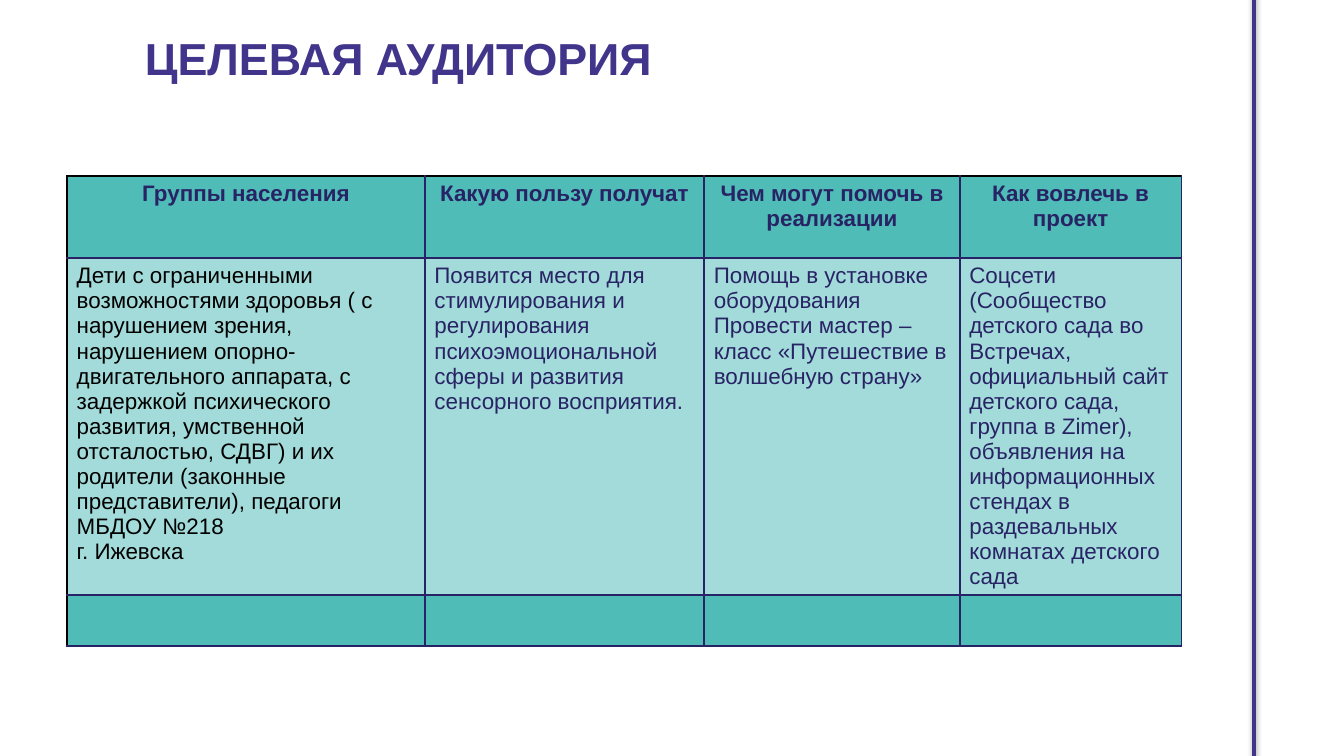
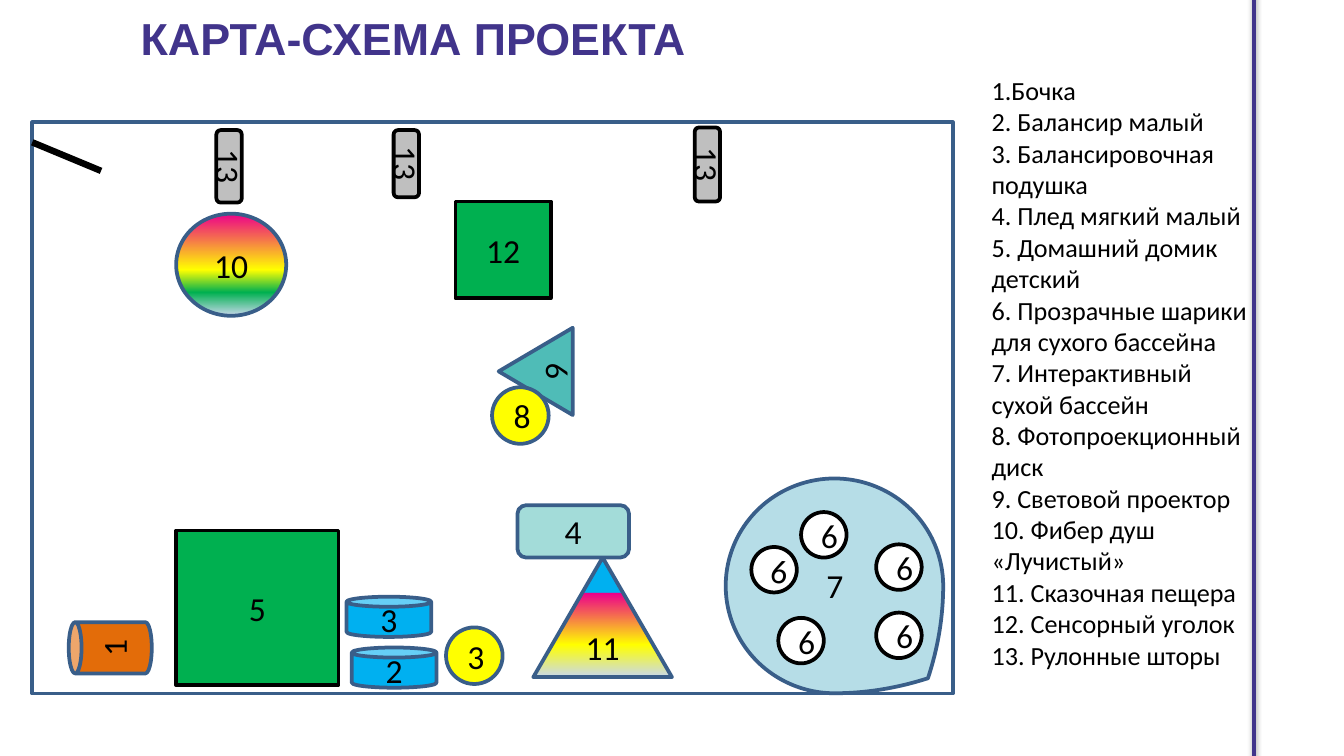
from dataclasses import dataclass
from typing import Optional, Union

from lxml.etree import SubElement
from pptx import Presentation
from pptx.dml.color import RGBColor
from pptx.enum.shapes import MSO_CONNECTOR, MSO_SHAPE
from pptx.enum.text import MSO_ANCHOR, PP_ALIGN
from pptx.oxml.ns import qn
from pptx.slide import Slide
from pptx.util import Cm, Pt

Stops = tuple[tuple[int, str], ...]


@dataclass(frozen=True)
class Theme:
    purple: str = "41348B"
    navy: str = "282365"
    outline: str = "395E89"
    black: str = "000000"
    white: str = "FFFFFF"
    teal: str = "4FBCB7"
    pale_teal: str = "A2DBD9"
    blanket: str = "A3DCD9"
    water: str = "B6DDE7"
    green: str = "00B050"
    yellow: str = "FFFF00"
    blue: str = "00B0F0"
    orange: str = "E36C09"
    grey: str = "BFBFBF"
    pink: str = "EC008B"
    haze: str = "C8D8EB"
    heading_font: str = "Arial"
    map_font: str = "Calibri"
    title_size: int = 24
    map_size: int = 18
    legend_size: int = 14
    table_size: int = 12
    line_width: float = 2
    door_width: float = 3.5


THEME = Theme()
TITLE_FORMAT = {"name": THEME.heading_font, "size": Pt(THEME.title_size), "bold": True}
HEADER_FORMAT = {"name": THEME.heading_font, "size": Pt(THEME.table_size), "bold": True}
BODY_FORMAT = {**HEADER_FORMAT, "bold": False}
MAP_FORMAT = {"name": THEME.map_font, "size": Pt(THEME.map_size)}
LEGEND_FORMAT = {"name": THEME.map_font, "size": Pt(THEME.legend_size)}


@dataclass(frozen=True)
class MapItem:
    """A thing on the room plan, in centimetres; without a preset it is a bare label."""
    preset: Optional[MSO_SHAPE]
    left: float
    top: float
    width: float
    height: float
    label: str = ""
    fill: Union[str, Stops, None] = None
    line: str = THEME.outline
    rotation: float = 0
    adjustment: Optional[float] = None


FIBER_STOPS = ((0, THEME.pink), (55, THEME.yellow), (77, THEME.green), (100, THEME.haze))
CAVE_STOPS = ((0, THEME.blue), (29, THEME.blue), (30, THEME.pink),
              (73, THEME.yellow), (100, THEME.haze))


def blind(left: float, top: float, height: float) -> list[MapItem]:
    """A roller blind with its sideways number centred on it."""
    width, label_width, label_height = 0.48, height - 0.05, 0.43
    return [
        MapItem(MSO_SHAPE.ROUNDED_RECTANGLE, left, top, width, height,
                fill=THEME.grey, line=THEME.black),
        MapItem(None, left + (width - label_width) / 2, top + (height - label_height) / 2,
                label_width, label_height, "13", rotation=90),
    ]


def disc(left: float, top: float, label: str) -> MapItem:
    return MapItem(MSO_SHAPE.OVAL, left, top, 1.07, 1.07, label, THEME.yellow)


def drum(left: float, top: float, label: str) -> MapItem:
    return MapItem(MSO_SHAPE.CAN, left, top, 1.6, 0.76, label, THEME.blue)


def ball(left: float, top: float, rotation: float = 0) -> MapItem:
    return MapItem(MSO_SHAPE.OVAL, left, top, 0.86, 0.86, "6",
                   THEME.white, THEME.black, rotation)


UPPER_ITEMS = [
    MapItem(MSO_SHAPE.RECTANGLE, 0.61, 2.31, 17.4, 10.8),
    MapItem(MSO_SHAPE.TEAR, 13.74, 9.02, 4.06, 4.11, fill=THEME.water,
            rotation=90, adjustment=0.86),
    MapItem(None, 14.33, 9.63, 2.9, 2.87, "7"),
    MapItem(MSO_SHAPE.OVAL, 3.33, 4.04, 2.08, 1.93, "10", FIBER_STOPS),
    MapItem(MSO_SHAPE.RECTANGLE, 8.61, 3.81, 1.8, 1.83, "12", THEME.green, THEME.black),
    MapItem(MSO_SHAPE.ISOSCELES_TRIANGLE, 9.3, 6.32, 1.65, 1.4, "9", THEME.teal, rotation=270),
    disc(9.3, 7.32, "8"),
    *blind(4.09, 2.46, 1.37),
    *blind(7.44, 2.46, 1.27),
    *blind(13.13, 2.41, 1.4),
    drum(6.55, 11.28, "3"),
    ball(15.14, 9.68),
    ball(16.56, 10.29),
    ball(14.2, 10.34, 7.7),
    ball(16.56, 11.58),
    ball(14.71, 11.68),
]
LOWER_ITEMS = [
    MapItem(MSO_SHAPE.RECTANGLE, 3.33, 10.03, 3.07, 2.92, "5", THEME.green, THEME.black),
    MapItem(MSO_SHAPE.CAN, 1.6, 11.46, 0.97, 1.57, "1", THEME.orange, rotation=270),
    drum(6.65, 12.24, "2"),
    disc(8.43, 11.86, "3"),
    MapItem(MSO_SHAPE.ISOSCELES_TRIANGLE, 10.08, 10.54, 2.62, 2.26, "11", CAVE_STOPS),
    MapItem(MSO_SHAPE.ROUNDED_RECTANGLE, 9.78, 9.55, 2.11, 0.99, "4", THEME.blanket),
]
LEGEND = [
    "1.Бочка",
    "2. Балансир малый",
    "3. Балансировочная подушка",
    "4. Плед мягкий малый",
    "5. Домашний домик детский",
    "6. Прозрачные шарики для сухого бассейна",
    "7. Интерактивный сухой бассейн",
    "8. Фотопроекционный диск",
    "9. Световой проектор",
    "10. Фибер душ «Лучистый»",
    "11. Сказочная пещера",
    "12. Сенсорный уголок",
    "13. Рулонные шторы",
]

COLUMN_WIDTHS = (6.76, 5.28, 4.83, 4.19)
ROW_HEIGHTS = (1.55, 6.35, 0.97)
ROW_FILLS = (THEME.teal, THEME.pale_teal, THEME.teal)
AUDIENCE = [
    [["Группы населения"], ["Какую пользу получат"],
     ["Чем могут помочь в реализации"], ["Как вовлечь в проект"]],
    [["Дети с ограниченными возможностями здоровья ( с нарушением зрения, нарушением "
      "опорно-двигательного аппарата, с задержкой психического развития, умственной "
      "отсталостью, СДВГ) и их родители (законные представители), педагоги МБДОУ №218",
      "г. Ижевска"],
     ["Появится место для стимулирования и регулирования психоэмоциональной сферы "
      "и развития сенсорного восприятия."],
     ["Помощь в установке оборудования",
      "Провести мастер – класс «Путешествие в волшебную страну»"],
     ["Соцсети (Сообщество детского сада во Встречах, официальный сайт детского сада, "
      "группа в Zimer),",
      "объявления на информационных стендах в раздевальных комнатах детского сада"]],
    [[""]] * 4,
]


def color(value: str) -> RGBColor:
    return RGBColor.from_string(value)


def write(text_frame, lines: list[str], font_format: dict, text_color: str,
          alignment: PP_ALIGN = PP_ALIGN.LEFT) -> None:
    for index, line in enumerate(lines):
        paragraph = text_frame.paragraphs[0] if index == 0 else text_frame.add_paragraph()
        paragraph.alignment = alignment
        paragraph.text = line
        for name, value in font_format.items():
            setattr(paragraph.font, name, value)
        paragraph.font.color.rgb = color(text_color)


def paint(shape, fill: Union[str, Stops, None]) -> None:
    """Fill with one colour, a top-to-bottom gradient or nothing."""
    if fill is None:
        shape.fill.background()
    elif isinstance(fill, str):
        shape.fill.solid()
        shape.fill.fore_color.rgb = color(fill)
    else:
        shape.fill.gradient()
        shape.fill.gradient_angle = 270
        stop_list = shape._element.spPr.find(qn("a:gradFill")).find(qn("a:gsLst"))
        for stop in list(stop_list):
            stop_list.remove(stop)
        for position, value in fill:
            stop = SubElement(stop_list, qn("a:gs"), pos=str(position * 1000))
            SubElement(stop, qn("a:srgbClr"), val=value)


def add_title(slide: Slide, text: str, left: float, top: float) -> None:
    shape = slide.shapes.add_shape(MSO_SHAPE.RECTANGLE, Cm(left), Cm(top), Cm(16.94), Cm(1.42))
    shape.shadow.inherit = False
    paint(shape, THEME.white)
    shape.line.fill.background()
    shape.text_frame.vertical_anchor = MSO_ANCHOR.TOP
    write(shape.text_frame, [text], TITLE_FORMAT, THEME.purple)


def add_line(slide: Slide, start: tuple[float, float], end: tuple[float, float],
             line_color: str, width: float):
    """Draw a straight line and return its empty effect list."""
    connector = slide.shapes.add_connector(
        MSO_CONNECTOR.STRAIGHT, *(Cm(value) for value in start + end))
    connector.line.color.rgb = color(line_color)
    connector.line.width = Pt(width)
    return SubElement(connector._element.spPr, qn("a:effectLst"))


def add_divider(slide: Slide) -> None:
    effects = add_line(slide, (23.7, -0.43), (23.7, 14.71), THEME.purple, THEME.line_width)
    shadow = SubElement(effects, qn("a:outerShdw"), blurRad="40000", dist="20000",
                        dir="5400000", rotWithShape="0")
    shade = SubElement(shadow, qn("a:srgbClr"), val=THEME.black)
    SubElement(shade, qn("a:alpha"), val="38000")


def add_map_item(slide: Slide, item: MapItem) -> None:
    frame = [Cm(value) for value in (item.left, item.top, item.width, item.height)]
    if item.preset is None:
        shape = slide.shapes.add_textbox(*frame)
    else:
        shape = slide.shapes.add_shape(item.preset, *frame)
        shape.shadow.inherit = False
        paint(shape, item.fill)
        shape.line.color.rgb = color(item.line)
        shape.line.width = Pt(THEME.line_width)
    if item.adjustment is not None:
        shape.adjustments[0] = item.adjustment
    shape.rotation = item.rotation
    if item.label:
        shape.text_frame.word_wrap = True
        shape.text_frame.vertical_anchor = MSO_ANCHOR.MIDDLE
        write(shape.text_frame, [item.label], MAP_FORMAT, THEME.black, PP_ALIGN.CENTER)


def add_borders(cell, left: str, right: str, top: str, bottom: str) -> None:
    properties = cell._tc.get_or_add_tcPr()
    for side, value in zip("LRTB", (left, right, top, bottom)):
        border = SubElement(properties, qn(f"a:ln{side}"), w=str(Pt(1)))
        SubElement(SubElement(border, qn("a:solidFill")), qn("a:srgbClr"), val=value)


def add_audience_table(slide: Slide) -> None:
    table = slide.shapes.add_table(
        len(ROW_HEIGHTS), len(COLUMN_WIDTHS), Cm(1.27), Cm(3.33),
        Cm(sum(COLUMN_WIDTHS)), Cm(sum(ROW_HEIGHTS))).table
    table.horz_banding = False
    for column, width in zip(table.columns, COLUMN_WIDTHS):
        column.width = Cm(width)
    margins = {"margin_left": Cm(0.18), "margin_right": Cm(0.18),
               "margin_top": Cm(0.1), "margin_bottom": Cm(0.1)}
    for row_index, row_texts in enumerate(AUDIENCE):
        table.rows[row_index].height = Cm(ROW_HEIGHTS[row_index])
        is_header = row_index == 0
        for column_index, lines in enumerate(row_texts):
            cell = table.cell(row_index, column_index)
            is_first = column_index == 0
            add_borders(cell, THEME.black if is_first else THEME.navy, THEME.navy,
                        THEME.black if is_header else THEME.navy, THEME.navy)
            paint(cell, ROW_FILLS[row_index])
            for name, value in margins.items():
                setattr(cell, name, value)
            write(cell.text_frame, lines, HEADER_FORMAT if is_header else BODY_FORMAT,
                  THEME.black if is_first and not is_header else THEME.navy,
                  PP_ALIGN.CENTER if is_header else PP_ALIGN.LEFT)


def add_room_map(slide: Slide) -> None:
    for item in UPPER_ITEMS:
        add_map_item(slide, item)
    add_line(slide, (1.91, 3.23), (0.61, 2.69), THEME.black, THEME.door_width)
    legend = slide.shapes.add_textbox(Cm(18.49), Cm(1.28), Cm(5.41), Cm(11.6))
    legend.text_frame.word_wrap = True
    write(legend.text_frame, LEGEND, LEGEND_FORMAT, THEME.black)
    for item in LOWER_ITEMS:
        add_map_item(slide, item)


def main() -> None:
    presentation = Presentation()
    presentation.slide_width, presentation.slide_height = Cm(25.4), Cm(14.29)
    pages = [
        ("ЦЕЛЕВАЯ АУДИТОРИЯ", 2.49, 0.46, add_audience_table),
        ("КАРТА-СХЕМА ПРОЕКТА", 2.41, 0.08, add_room_map),
    ]
    for title, left, top, add_content in pages:
        slide = presentation.slides.add_slide(presentation.slide_layouts[6])
        add_title(slide, title, left, top)
        add_divider(slide)
        add_content(slide)
    presentation.save("out.pptx")


if __name__ == "__main__":
    main()
